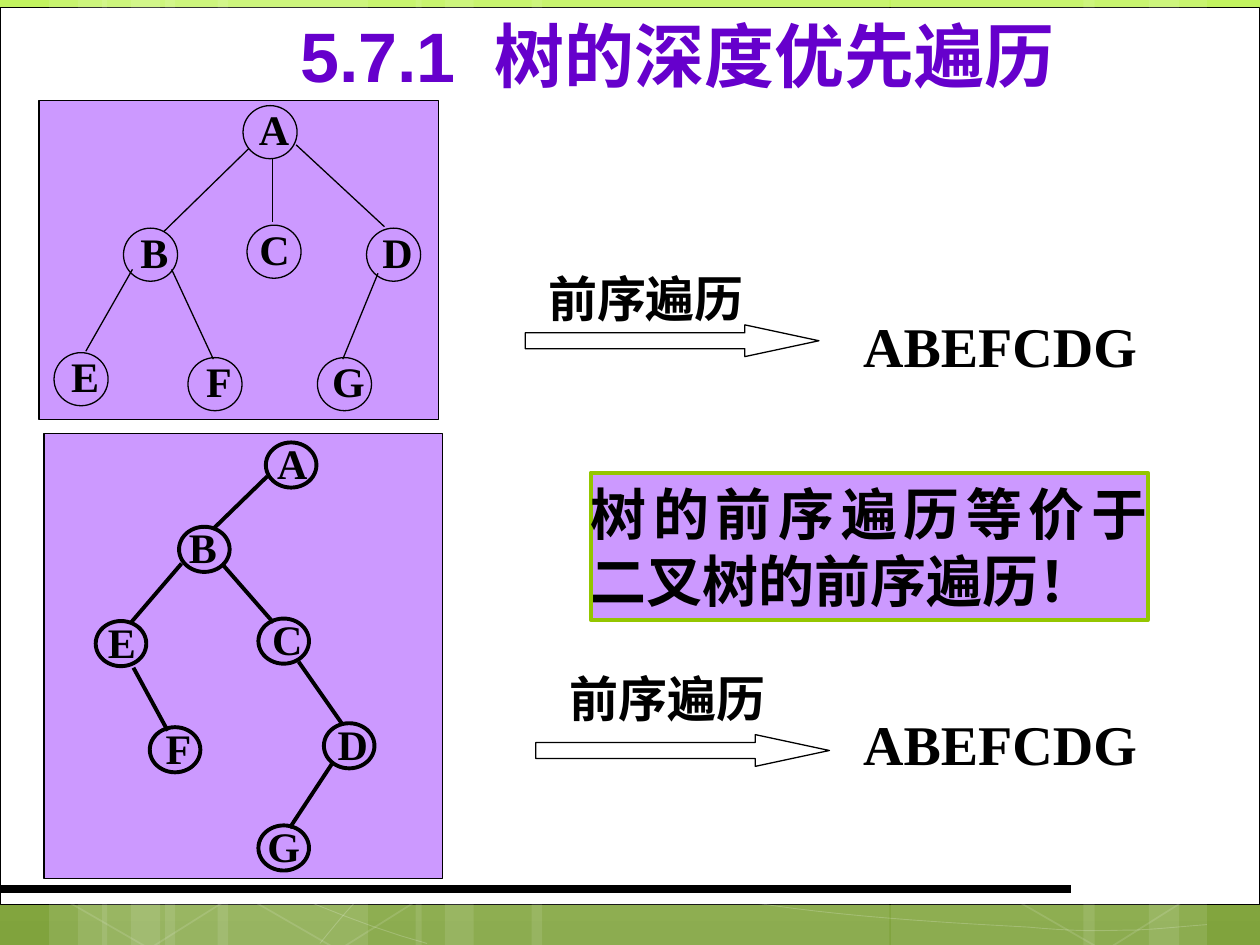
from pptx import Presentation
from pptx.dml.color import RGBColor
from pptx.enum.shapes import MSO_CONNECTOR, MSO_SHAPE
from pptx.enum.text import MSO_ANCHOR as Anchor, PP_ALIGN as Align
from pptx.oxml.ns import qn
from pptx.util import Cm, Pt
from lxml.etree import SubElement

COLORS = {
    "black": "000000", "white": "FFFFFF", "panel": "CC99FF", "title": "6600CC",
    "border": "94C600", "sky": "C2F35F", "grass": "80A33D",
}
SERIF = "Times New Roman"
SLIDE_WIDTH, SLIDE_HEIGHT = 25.4, 19.05

STRIPES = [
    (3.33, 4.09), (0.99, 1.17), (1.57, 1.96), (4.39, 4.11), (2.06, 1.17), (2.64, 1.96),
    (17.96, 4.11), (23.16, 1.17), (21.84, 1.93), (10.72, 7.21), (8.38, 1.17), (8.97, 1.96),
]
CURVES = [
    [(0.91, 15.67), (3.73, 17.07), (6.55, 18.47), (8.61, 19.02)],
    [(0.94, 14.68), (1.68, 14.96), (2.41, 15.24), (3.78, 15.65), (5.13, 16.03),
     (7.16, 16.66), (9.12, 17.09), (11.07, 17.53), (13.54, 17.98), (15.47, 18.24),
     (17.4, 18.52), (19.48, 18.62), (20.73, 18.69), (21.95, 18.8), (22.28, 18.75),
     (22.89, 18.75), (23.47, 18.72), (23.9, 18.67), (24.33, 18.64)],
    [(6.45, 19.02), (6.86, 18.52), (7.26, 18.01), (7.85, 17.55), (8.43, 17.07),
     (9.2, 16.59), (9.86, 16.23)],
]
HEXAGONS = [(1.04, 15.01), (4.85, 15.04), (20.29, 15.06)]

GENERAL_TREE = {
    "node": (1.09, 1.07), "label": (0.91, 1.27), "rise": 0.22, "line": 0.75,
    "insets": (0.1, 0.18, 0.1, 0.03),
    "nodes": {
        "A": (4.11, 0.1, 0.17), "B": (1.7, 2.57, 0.17), "C": (4.19, 2.51, 0.1),
        "D": (6.6, 2.57, 0.17), "E": (0.3, 5.08, 0.17), "F": (3, 5.18, 0.17),
        "G": (5.61, 5.18, 0.17),
    },
    "edges": [
        (4.22, 0.97, 2.51, 2.64), (1.88, 3.4, 0.94, 5.05), (2.67, 3.4, 3.51, 5.21),
        (5.18, 0.89, 6.96, 2.54), (6.83, 3.48, 6.12, 5.21), (4.7, 1.17, 4.7, 2.44),
    ],
}
BINARY_TREE = {
    "node": (1.02, 0.91), "label": (0.86, 1.12), "rise": 0.18, "line": 2.25,
    "insets": (0.05, 0.08, 0.05, 0.03),
    "nodes": {
        "A": (4.47, 0.18, 0.1), "B": (2.72, 1.88, 0.05), "C": (4.32, 3.73, 0.15),
        "D": (5.64, 5.84, 0.15), "E": (1.04, 3.78, 0.1), "F": (2.13, 5.92, 0.15),
        "G": (4.32, 7.9, 0.08),
    },
    "edges": [
        (4.5, 0.86, 3.4, 1.93), (2.77, 2.62, 1.75, 3.81), (3.58, 2.62, 4.62, 3.81),
        (1.8, 4.72, 2.49, 5.99), (5.82, 6.63, 4.95, 7.95), (5.13, 4.6, 6.02, 5.87),
    ],
}


def color(name):
    """Return the named colour."""
    return RGBColor.from_string(COLORS[name])


def paint(shape, fill=None, line=None, width=0.75):
    """Set fill and outline of a shape and drop its shadow."""
    shape.shadow.inherit = False
    if fill:
        shape.fill.solid()
        shape.fill.fore_color.rgb = color(fill)
    else:
        shape.fill.background()
    if line:
        shape.line.color.rgb = color(line)
        shape.line.width = Pt(width)
    else:
        shape.line.fill.background()


def add_shape(slide, kind, box, **style):
    """Add a painted preset shape in a box given in centimetres."""
    shape = slide.shapes.add_shape(kind, *map(Cm, box))
    paint(shape, **style)
    return shape


def set_opacity(shape, percent):
    """Make the colours of a shape partly transparent."""
    for element in shape._element.iter(qn("a:srgbClr")):
        SubElement(element, qn("a:alpha")).set("val", str(percent * 1000))


def add_line(slide, ends, width):
    """Add a straight black line between two points."""
    line = slide.shapes.add_connector(MSO_CONNECTOR.STRAIGHT, *map(Cm, ends))
    line.line.color.rgb = color("black")
    line.line.width = Pt(width)
    SubElement(line._element.spPr, qn("a:effectLst"))


def write(shape, text, size, align=Align.LEFT, font=SERIF, ink="black",
          insets=(0.25, 0.13, 0.25, 0.13), anchor=Anchor.TOP):
    """Write one bold paragraph into a shape."""
    frame = shape.text_frame
    frame.text = text
    frame.word_wrap = True
    frame.vertical_anchor = anchor
    frame.margin_left, frame.margin_top, frame.margin_right, frame.margin_bottom = map(Cm, insets)
    paragraph = frame.paragraphs[0]
    paragraph.alignment = align
    paragraph.space_before = Pt(0)
    run_font = paragraph.runs[0].font
    run_font.name, run_font.size, run_font.bold = font, Pt(size), True
    run_font.color.rgb = color(ink)


def sample_curve(controls, steps=12):
    """Return points along joined cubic Bezier segments."""
    points = [controls[0]]
    for first in range(0, len(controls) - 1, 3):
        segment = controls[first:first + 4]
        for step in range(1, steps + 1):
            t = step / steps
            weights = ((1 - t) ** 3, 3 * t * (1 - t) ** 2, 3 * t * t * (1 - t), t ** 3)
            points.append(tuple(sum(w * p[axis] for w, p in zip(weights, segment))
                                for axis in (0, 1)))
    return points


def draw_backdrop(slide):
    """Draw the green gradient, white page, faint ornaments and bottom rule."""
    fill = slide.background.fill
    fill.gradient()
    fill.gradient_angle = 270
    for stop, name in zip(fill.gradient_stops, ("sky", "grass")):
        stop.color.rgb = color(name)
    add_shape(slide, MSO_SHAPE.RECTANGLE, (0, 0.15, SLIDE_WIDTH, 18.08),
              fill="white", line="black", width=0.5)
    for left, width in STRIPES:
        stripe = add_shape(slide, MSO_SHAPE.RECTANGLE, (left, 0, width, SLIDE_HEIGHT), fill="white")
        set_opacity(stripe, 10)
    for controls in CURVES:
        points = [(Cm(x), Cm(y)) for x, y in sample_curve(controls)]
        builder = slide.shapes.build_freeform(*points[0])
        builder.add_line_segments(points[1:], close=False)
        curve = builder.convert_to_shape()
        paint(curve, line="white", width=0.5)
        set_opacity(curve, 20)
    for left, top in HEXAGONS:
        hexagon = add_shape(slide, MSO_SHAPE.HEXAGON, (left, top, 4.09, 3.86), line="white", width=1)
        hexagon.adjustments[0] = 0.263
        hexagon.rotation = 30
        set_opacity(hexagon, 12)
    add_line(slide, (0, 17.93, 21.59, 17.93), 4.5)


def draw_tree(slide, box, tree):
    """Draw a tree of lettered nodes on a panel."""
    left, top = box[:2]
    add_shape(slide, MSO_SHAPE.RECTANGLE, box, fill="panel", line="black")
    for x1, y1, x2, y2 in tree["edges"]:
        add_line(slide, (left + x1, top + y1, left + x2, top + y2), tree["line"])
    for letter, (x, y, shift) in tree["nodes"].items():
        label_box = (left + x + shift, top + y - tree["rise"], *tree["label"])
        label = slide.shapes.add_textbox(*map(Cm, label_box))
        write(label, letter, 24, Align.CENTER, insets=tree["insets"])
        add_shape(slide, MSO_SHAPE.OVAL, (left + x, top + y, *tree["node"]),
                  line="black", width=tree["line"])


def draw_traversal(slide, box, label_offset, result_offset):
    """Draw an arrow with its caption and the resulting node order."""
    left, top = box[:2]
    arrow = add_shape(slide, MSO_SHAPE.RIGHT_ARROW, box, line="black")
    arrow.adjustments[0], arrow.adjustments[1] = 0.5, 2.333
    for text, size, (x, y), width, height in (
            ("前序遍历", 28, label_offset, 4.88, 1.45),
            ("ABEFCDG", 32, result_offset, 6.78, 1.63)):
        caption = slide.shapes.add_textbox(Cm(left + x), Cm(top + y), Cm(width), Cm(height))
        write(caption, text, size)


def draw_conclusion(slide, box):
    """Draw the framed conclusion."""
    frame = add_shape(slide, MSO_SHAPE.RECTANGLE, box, fill="panel", line="border", width=2.25)
    write(frame, "树的前序遍历等价于二叉树的前序遍历！", 32, Align.JUSTIFY, insets=(0, 0.13, 0, 0.13))


def draw_title(slide, box):
    """Place the title above the backdrop."""
    title = slide.shapes.title
    title.left, title.top, title.width, title.height = map(Cm, box)
    write(title, "5.7.1  树的深度优先遍历", 40, Align.CENTER, "Arial", "title")
    slide.shapes._spTree.append(title._element)


def main():
    """Build and save the slide."""
    presentation = Presentation()
    presentation.slide_width, presentation.slide_height = Cm(SLIDE_WIDTH), Cm(SLIDE_HEIGHT)
    slide = presentation.slides.add_slide(presentation.slide_layouts[5])
    draw_backdrop(slide)
    draw_tree(slide, (0.79, 2.03, 8.05, 6.43), GENERAL_TREE)
    draw_traversal(slide, (10.59, 6.55, 5.92, 0.64), (0.21, -1.27), (6.56, -0.4))
    draw_tree(slide, (0.89, 8.74, 8.03, 8.97), BINARY_TREE)
    draw_traversal(slide, (10.8, 14.81, 5.92, 0.64), (0.43, -1.47), (6.35, -0.64))
    draw_conclusion(slide, (11.91, 9.53, 11.23, 2.97))
    draw_title(slide, (3.86, 0.13, 19.58, 1.96))
    presentation.save("out.pptx")


if __name__ == "__main__":
    main()
